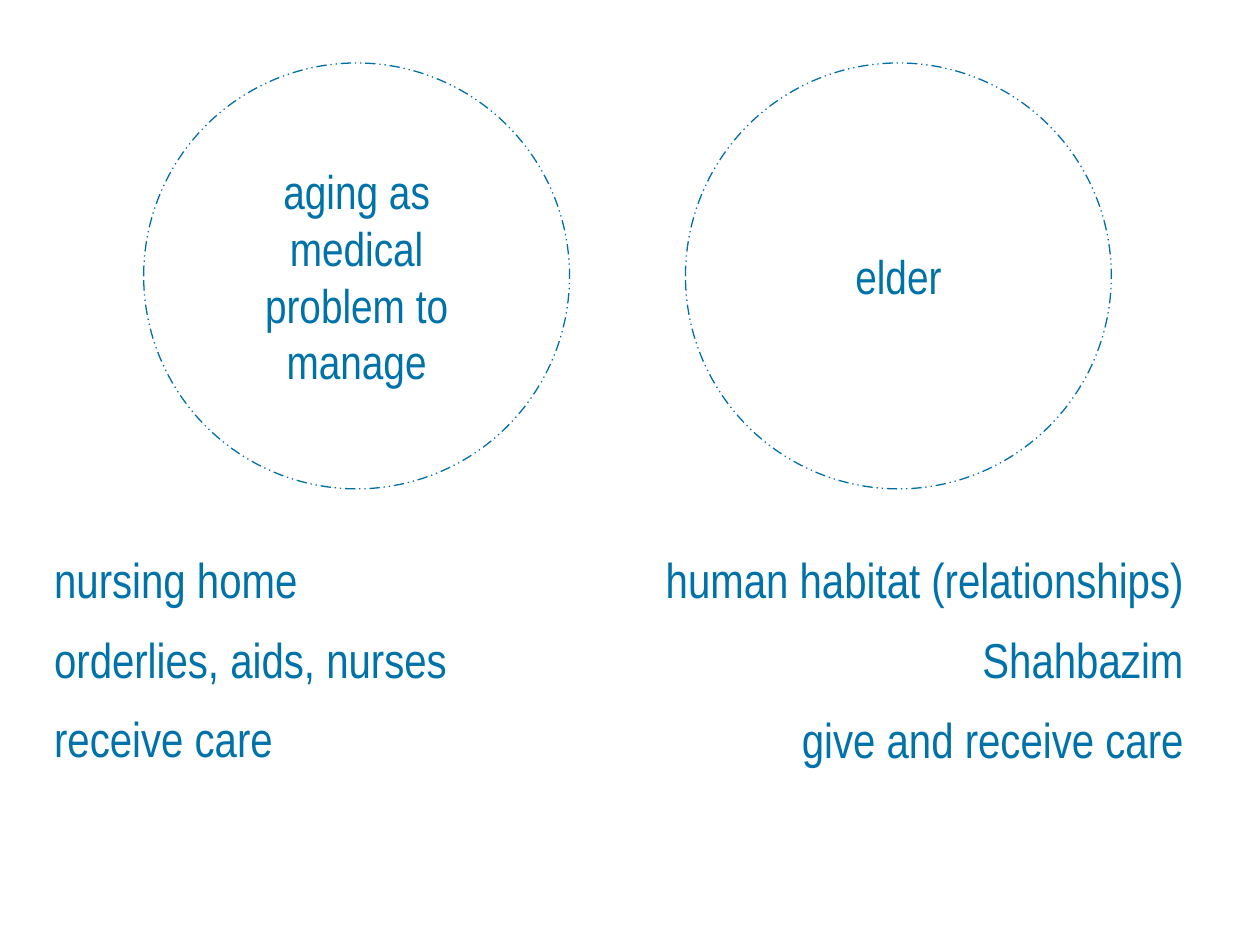
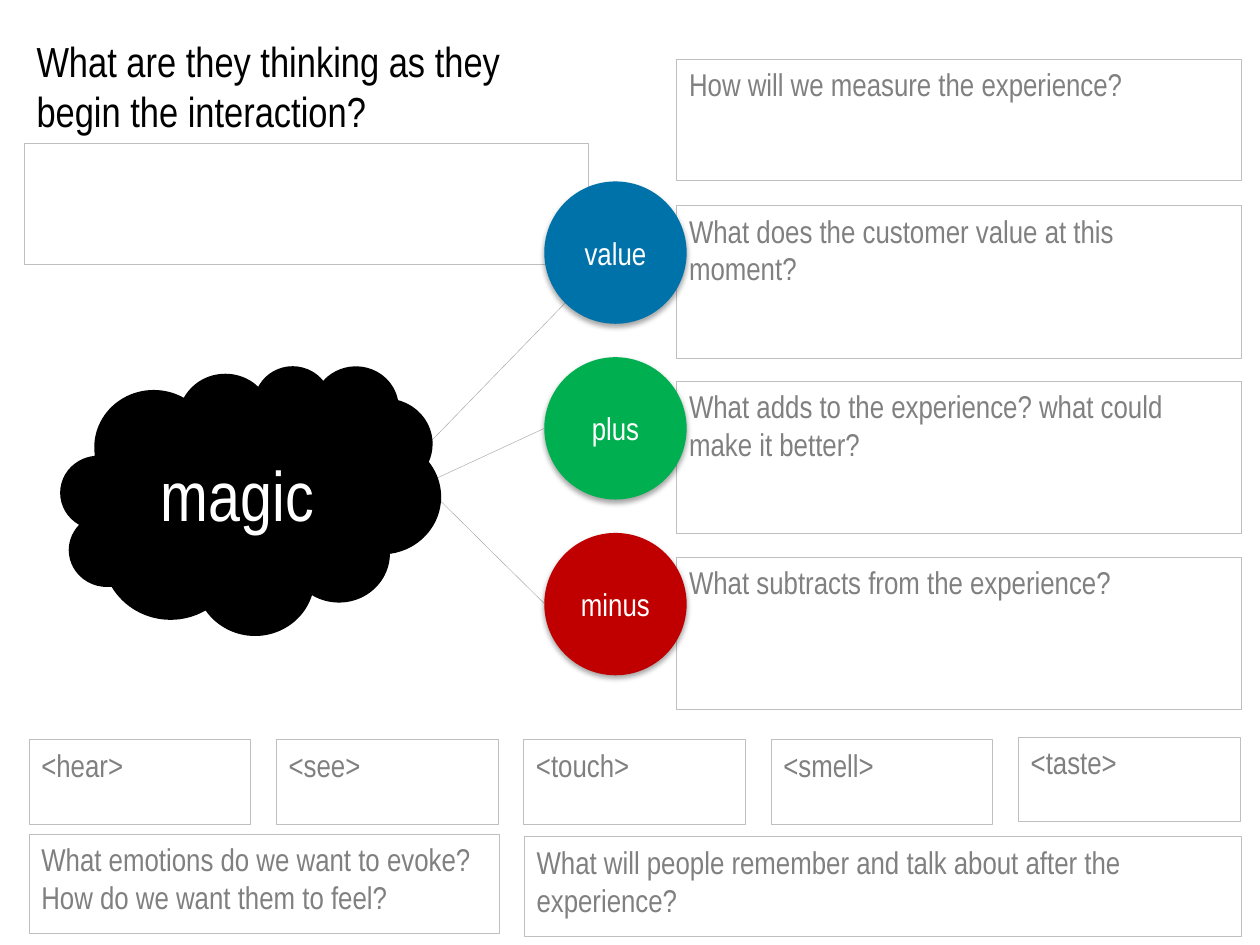
from lxml import etree
from pptx import Presentation
from pptx.dml.color import RGBColor
from pptx.enum.dml import MSO_LINE_DASH_STYLE as DASH
from pptx.enum.shapes import MSO_CONNECTOR as CONNECTOR, MSO_SHAPE as SHAPE
from pptx.enum.text import MSO_ANCHOR as ANCHOR, MSO_AUTO_SIZE as AUTO_SIZE, PP_ALIGN as ALIGN
from pptx.oxml import parse_xml
from pptx.oxml.ns import nsdecls, qn
from pptx.util import Inches, Pt

FONT = "Arial Narrow"
COLORS = {
    "blue": "0072AA",
    "outline": "006FA6",
    "green": "00B050",
    "red": "C00000",
    "black": "000000",
    "white": "FFFFFF",
    "gray": "808080",
    "border": "BFBFBF",
    "connector": "A6A6A6",
}
COLUMNS, ROWS = 100, 75
WIDTH, HEIGHT = Inches(10), Inches(7.5)
TIGHT, ROOMY = (0.08, 0.04), (0.1, 0.05)


def rgb(name):
    return RGBColor.from_string(COLORS[name])


def column(number):
    return round(WIDTH * number / COLUMNS)


def row(number):
    return round(HEIGHT * number / ROWS)


def area(left, top, width, height):
    return column(left), row(top), column(width), row(height)


def write_text(shape, *lines, size=18, color="gray", align=ALIGN.LEFT,
               anchor=ANCHOR.TOP, inset=TIGHT, after=0):
    frame = shape.text_frame
    frame.word_wrap = True
    frame.vertical_anchor = anchor
    frame.margin_left = frame.margin_right = Inches(inset[0])
    frame.margin_top = frame.margin_bottom = Inches(inset[1])
    for index, line in enumerate(lines):
        paragraph = frame.add_paragraph() if index else frame.paragraphs[0]
        paragraph.alignment = align
        paragraph.space_after = Pt(after)
        run = paragraph.add_run()
        run.text = line
        run.font.name = FONT
        run.font.size = Pt(size)
        run.font.color.rgb = rgb(color)


def add_text(slide, place, *lines, **text_format):
    box = slide.shapes.add_textbox(*area(*place))
    write_text(box, *lines, **text_format)
    box.text_frame.auto_size = AUTO_SIZE.SHAPE_TO_FIT_TEXT


def add_figure(slide, kind, place, fill=None, line=None, weight=0.25, dash=None):
    shape = slide.shapes.add_shape(kind, *area(*place))
    shape.shadow.inherit = False
    if fill:
        shape.fill.solid()
        shape.fill.fore_color.rgb = rgb(fill)
    else:
        shape.fill.background()
    if line:
        shape.line.color.rgb = rgb(line)
        shape.line.width = Pt(weight)
        if dash:
            shape.line.dash_style = dash
    else:
        shape.line.fill.background()
    return shape


def add_centered(slide, kind, place, text, size, color, **style):
    shape = add_figure(slide, kind, place, **style)
    write_text(shape, text, size=size, color=color, align=ALIGN.CENTER, anchor=ANCHOR.MIDDLE)
    return shape


def add_prompt(slide, place, text=None):
    box = add_figure(slide, SHAPE.RECTANGLE, place, line="border")
    if text:
        write_text(box, text, inset=ROOMY)


def add_drop_shadow(shape):
    effects = shape._element.spPr.find(qn("a:effectLst"))
    effects.append(parse_xml(
        f'<a:outerShdw {nsdecls("a")} blurRad="{Pt(3.1)}" dist="{Pt(1.8)}" dir="5400000" '
        f'rotWithShape="0"><a:srgbClr val="{COLORS["black"]}"><a:alpha val="35000"/>'
        '</a:srgbClr></a:outerShdw>'))


def add_link(slide, start, end):
    link = slide.shapes.add_connector(
        CONNECTOR.STRAIGHT, column(start[0]), row(start[1]), column(end[0]), row(end[1]))
    link.line.color.rgb = rgb("connector")
    link.line.width = Pt(0.25)
    etree.SubElement(link._element.spPr, qn("a:effectLst"))


def build_comparison(slide):
    views = ((11.4, "aging as medical problem to manage"), (54.4, "elder"))
    for left, view in views:
        add_centered(slide, SHAPE.OVAL, (left, 5, 33.8, 33.8), view, 27, "blue",
                     line="outline", weight=0.75, dash=DASH.DASH_DOT_DOT)
    list_format = {"size": 28, "color": "blue", "after": 12}
    add_text(slide, (3.5, 43.2, 48.4, 18.3),
             "nursing home", "orderlies, aids, nurses", "receive care", **list_format)
    add_text(slide, (45.9, 43.2, 48.8, 31.1),
             "human habitat (relationships)", "Shahbazim", "give and receive care",
             align=ALIGN.RIGHT, **list_format)


def build_experience_map(slide):
    add_prompt(slide, (1.9, 11.4, 44.8, 9.6))
    add_text(slide, (2.1, 2.4, 45.5, 8.8),
             "What are they thinking as they begin the interaction?", size=24, color="black")
    add_prompt(slide, (53.7, 4.7, 44.8, 9.6), "How will we measure the experience?")

    factors = (
        ("value", "blue", "What does the customer value at this moment?",
         (28.7, 40.7), (44.9, 24)),
        ("plus", "green", "What adds to the experience? what could make it better?",
         (28.5, 40.8), (43.2, 34)),
        ("minus", "red", "What subtracts from the experience?",
         (34.9, 39.7), (43.2, 47.9)),
    )
    for index, (name, color, question, start, end) in enumerate(factors):
        step = 13.95 * index
        add_prompt(slide, (53.7, 16.3 + step, 44.8, 12.1), question)
        add_link(slide, start, end)
        circle = add_centered(slide, SHAPE.OVAL, (43.2, 14.4 + step, 11.3, 11.3),
                              name, 18, "white", fill=color)
        add_drop_shadow(circle)
    add_centered(slide, SHAPE.CLOUD, (4.8, 29, 30.2, 21.4), "magic", 40, "white", fill="black")

    for index, sense in enumerate(("hear", "see", "touch", "smell", "taste")):
        top = 58.5 if sense == "taste" else 58.7
        add_prompt(slide, (2.3 + 19.63 * index, top, 17.6, 6.7), f"<{sense}>")
    add_prompt(slide, (2.3, 66.2, 37.3, 7.9),
               "What emotions do we want to evoke? How do we want them to feel?")
    add_prompt(slide, (41.6, 66.4, 56.9, 7.9),
               "What will people remember and talk about after the experience?")


def main():
    presentation = Presentation()
    presentation.slide_width, presentation.slide_height = WIDTH, HEIGHT
    blank = presentation.slide_layouts.get_by_name("Blank")
    for build in (build_comparison, build_experience_map):
        build(presentation.slides.add_slide(blank))
    presentation.save("out.pptx")


if __name__ == "__main__":
    main()
